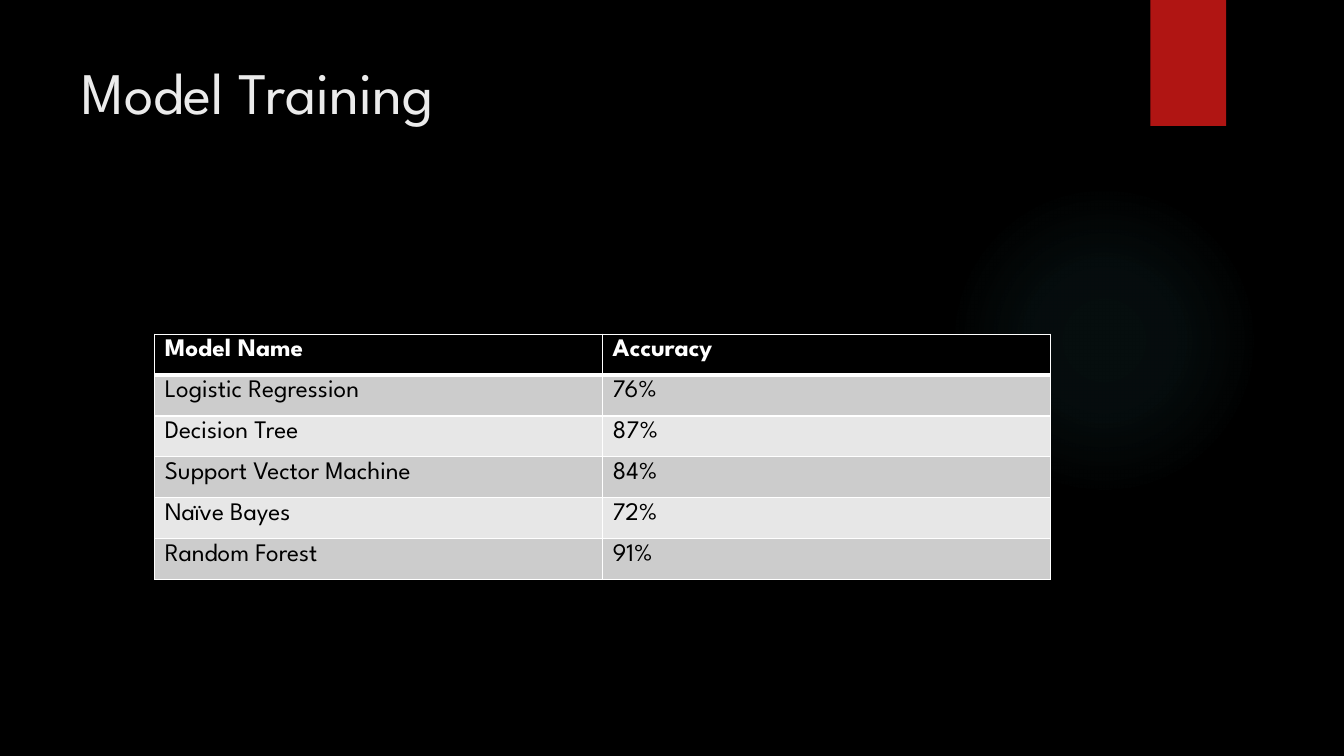
import pptx
import pptx.util
import pptx.dml.color
import pptx.enum.shapes
import pptx.enum.text
import pptx.oxml
import pptx.oxml.ns
from dataclasses import dataclass

Pt = pptx.util.Pt
NS = pptx.oxml.ns.nsdecls("a")


@dataclass(frozen=True)
class Theme:
    font: str = "League Spartan"
    title_size: int = 42
    body_size: int = 18
    background: str = "000000"
    title: str = "EBEBEB"
    accent: str = "B01513"
    glow: str = "50B9C1"
    header: str = "000000"
    header_text: str = "FFFFFF"
    body_text: str = "000000"
    bands: tuple = ("CCCCCC", "E7E7E7")
    border: str = "FFFFFF"


THEME = Theme()
MODELS = [
    ("Model Name", "Accuracy"),
    ("Logistic Regression", "76%"),
    ("Decision Tree", "87%"),
    ("Support Vector Machine", "84%"),
    ("Naïve Bayes", "72%"),
    ("Random Forest", "91%"),
]


def rgb(color):
    return pptx.dml.color.RGBColor.from_string(color)


def add_run(p, text, size, color, bold=False):
    r = p.add_run()
    r.text = text
    r.font.name = THEME.font
    r.font.size = Pt(size)
    r.font.bold = bold
    r.font.color.rgb = rgb(color)


def add_plain_shape(s, kind, x, y, w, h):
    sp = s.shapes.add_shape(kind, Pt(x), Pt(y), Pt(w), Pt(h))
    sp.shadow.inherit = False
    sp.line.fill.background()
    return sp


def add_glow(s, x, y, size):
    sp = add_plain_shape(s, pptx.enum.shapes.MSO_SHAPE.OVAL, x, y, size, size)
    stops = "".join(
        f'<a:gs pos="{pos * 1000}"><a:srgbClr val="{THEME.glow}">'
        f'<a:alpha val="{alpha * 1000}"/></a:srgbClr></a:gs>'
        for pos, alpha in [(0, 7), (36, 6), (69, 0)]
    )
    grad = pptx.oxml.parse_xml(
        f'<a:gradFill {NS}><a:gsLst>{stops}</a:gsLst><a:path path="circle">'
        '<a:fillToRect l="50000" t="50000" r="50000" b="50000"/></a:path></a:gradFill>'
    )
    sp.element.spPr.find(pptx.oxml.ns.qn("a:prstGeom")).addnext(grad)


def add_ribbon(s, x, y, w, h):
    sp = add_plain_shape(s, pptx.enum.shapes.MSO_SHAPE.RECTANGLE, x, y, w, h)
    sp.fill.solid()
    sp.fill.fore_color.rgb = rgb(THEME.accent)


def add_title(s, text, x, y, w, h):
    tf = s.shapes.add_textbox(Pt(x), Pt(y), Pt(w), Pt(h)).text_frame
    tf.word_wrap = True
    tf.vertical_anchor = pptx.enum.text.MSO_ANCHOR.TOP
    add_run(tf.paragraphs[0], text, THEME.title_size, THEME.title)


def set_borders(cell, top, bottom):
    tcPr = cell._tc.get_or_add_tcPr()
    widths = {"lnL": 1, "lnR": 1, "lnT": top, "lnB": bottom}
    for i, (side, width) in enumerate(widths.items()):
        tcPr.insert(i, pptx.oxml.parse_xml(
            f'<a:{side} {NS} w="{Pt(width)}"><a:solidFill>'
            f'<a:srgbClr val="{THEME.border}"/></a:solidFill></a:{side}>'
        ))


def add_model_table(s, rows, x, y, w, h):
    table = s.shapes.add_table(len(rows), len(rows[0]), Pt(x), Pt(y), Pt(w), Pt(h)).table
    for i, row in enumerate(rows):
        header = i == 0
        fill = THEME.header if header else THEME.bands[(i - 1) % 2]
        color = THEME.header_text if header else THEME.body_text
        for j, text in enumerate(row):
            cell = table.cell(i, j)
            cell.fill.solid()
            cell.fill.fore_color.rgb = rgb(fill)
            set_borders(cell, 3 if i == 1 else 1, 3 if header else 1)
            add_run(cell.text_frame.paragraphs[0], text, THEME.body_size, color, header)


def main():
    prs = pptx.Presentation()
    prs.slide_width, prs.slide_height = Pt(960), Pt(540)
    s = prs.slides.add_slide(prs.slide_layouts[6])
    s.background.fill.solid()
    s.background.fill.fore_color.rgb = rgb(THEME.background)
    add_glow(s, 677.5, 132, 222)
    add_ribbon(s, 821.75, 0, 54, 90)
    add_title(s, "Model Training", 51, 36, 741, 110)
    add_model_table(s, MODELS, 110.5, 238.75, 640, 175.2)
    prs.save("out.pptx")


if __name__ == "__main__":
    main()
